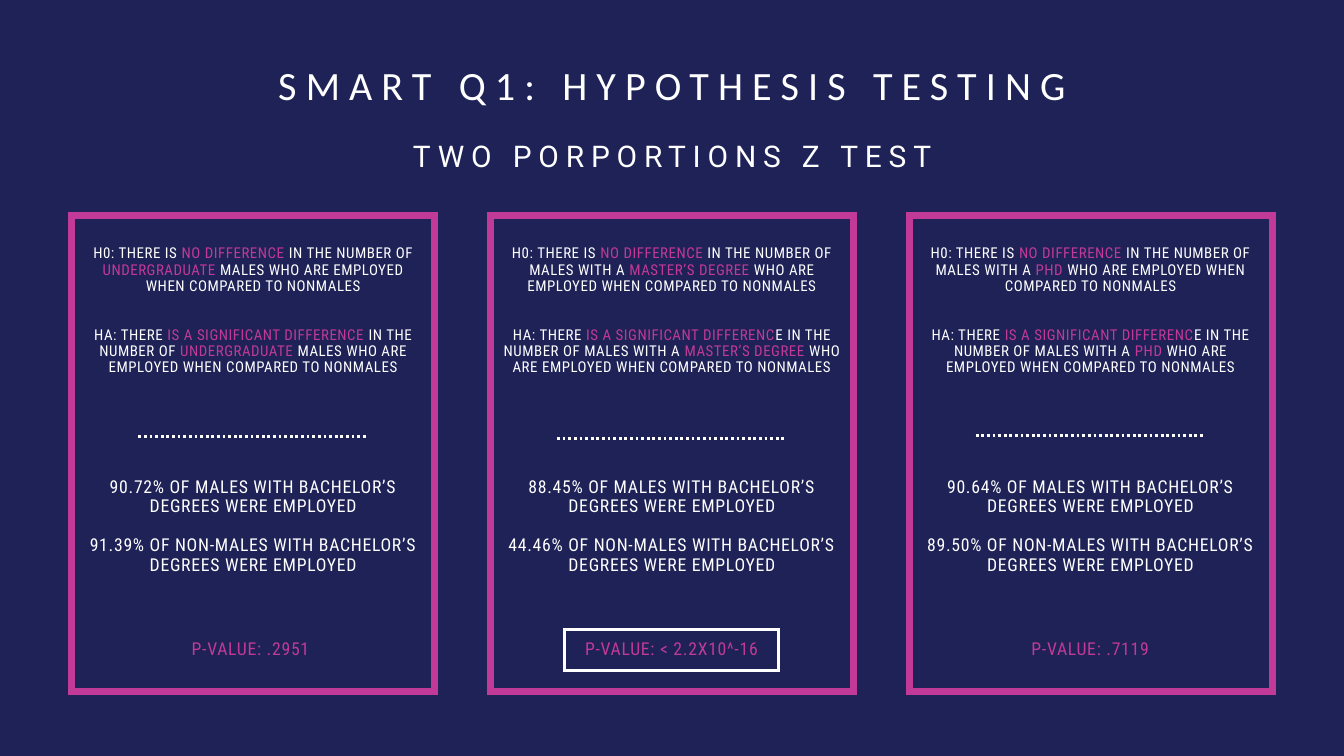
from dataclasses import dataclass

from lxml import etree
from pptx import Presentation
from pptx import util as u
from pptx.dml.color import RGBColor
from pptx.enum import dml, shapes, text
from pptx.oxml.ns import qn


@dataclass(frozen=True)
class Theme:
    back: str = "1E2257"
    ink: str = "FFFFFF"
    pink: str = "C23A97"
    # Each style: font, size, line pitch and letter spacing, in points
    head: tuple = ("Calibri", 43, 50.7, 9.8)
    sub: tuple = ("Roboto", 32, 37.8, 7.3)
    claim: tuple = ("Roboto Condensed", 16, 17.6, 0.6)
    fact: tuple = ("Roboto Condensed", 19, 20.9, 0.8)


COLS, ROWS = 20, 11.25  # slide grid


class Deck:
    def __init__(self, theme):
        self.theme = theme
        self.prs = Presentation()
        self.prs.slide_width = u.Inches(20)
        self.prs.slide_height = u.Inches(11.25)
        self.slide = None

    def grid(self, x, y):
        return (u.Emu(round(x / COLS * self.prs.slide_width)),
                u.Emu(round(y / ROWS * self.prs.slide_height)))

    def start(self):
        self.slide = self.prs.slides.add_slide(self.prs.slide_layouts[5])
        fill = self.slide.background.fill
        fill.solid()
        fill.fore_color.rgb = RGBColor.from_string(self.theme.back)

    def stroke(self, line, color, width):
        line.color.rgb = RGBColor.from_string(color)
        line.width = u.Pt(width)

    def letter(self, shape, style, paras):
        """Fill a shape with text; parts between bars are pink."""
        name, size, pitch, gap = style
        frame = shape.text_frame
        form = dict(margin_left=0, margin_right=0, margin_top=0,
                    margin_bottom=0, word_wrap=True,
                    auto_size=text.MSO_AUTO_SIZE.NONE,
                    vertical_anchor=text.MSO_ANCHOR.TOP)
        for key, val in form.items():
            setattr(frame, key, val)
        for i, words in enumerate(paras):
            para = frame.add_paragraph() if i else frame.paragraphs[0]
            form = dict(alignment=text.PP_ALIGN.CENTER,
                        line_spacing=u.Pt(pitch),
                        space_before=u.Pt(pitch if i else 0))
            for key, val in form.items():
                setattr(para, key, val)
            for j, part in enumerate(words.split("|")):
                if not part:
                    continue
                run = para.add_run()
                run.text = part
                for key, val in dict(name=name, size=u.Pt(size)).items():
                    setattr(run.font, key, val)
                color = self.theme.pink if j % 2 else self.theme.ink
                run.font.color.rgb = RGBColor.from_string(color)
                run._r.get_or_add_rPr().set("spc", str(round(gap * 100)))

    def title(self, x, y, w, h, words):
        shape = self.slide.shapes.title
        shape.left, shape.top = self.grid(x, y)
        shape.width, shape.height = self.grid(w, h)
        self.letter(shape, self.theme.head, [words])

    def label(self, x, y, w, h, style, *paras):
        box = self.slide.shapes.add_textbox(*self.grid(x, y), *self.grid(w, h))
        self.letter(box, style, paras)

    def frame(self, x, y, w, h, color, width):
        box = self.slide.shapes.add_shape(
            shapes.MSO_SHAPE.RECTANGLE, *self.grid(x, y), *self.grid(w, h))
        box.shadow.inherit = False
        box.fill.background()
        self.stroke(box.line, color, width)
        line = box._element.spPr.find(qn("a:ln"))
        etree.SubElement(line, qn("a:miter"), lim="800000")

    def rule(self, x, y, w):
        line = self.slide.shapes.add_connector(
            shapes.MSO_CONNECTOR.STRAIGHT, *self.grid(x, y), *self.grid(x + w, y))
        self.stroke(line.line, self.theme.ink, 3)
        line.line.dash_style = dml.MSO_LINE.ROUND_DOT
        etree.SubElement(line._element.spPr, qn("a:effectLst"))


# One row per card: group, end of the pink claim, shares, p-value, rule row
CARDS = [
    ("|UNDERGRADUATE| MALES WHO", "DIFFERENCE|", "90.72%", "91.39%",
     ".2951 ", 6.5),
    ("MALES WITH A |MASTER’S DEGREE| WHO", "DIFFERENC|E", "88.45%", "44.46%",
     "< 2.2X10^-16", 6.52),
    ("MALES WITH A |PHD| WHO", "DIFFERENC|E", "90.64%", "89.50%",
     ".7119", 6.48),
]
LEFT, STEP, WIDE = 1.07, 6.23, 5.4


def main():
    theme = Theme()
    deck = Deck(theme)
    deck.start()

    # Headings
    deck.title(2.04, 0.91, 15.93, 0.7, "SMART Q1: HYPOTHESIS TESTING")
    deck.label(2.04, 2.06, 15.93, 0.55, theme.sub, "TWO PORPORTIONS Z TEST")

    # Cards
    for i, (group, end, male, other, value, row) in enumerate(CARDS):
        x = LEFT + i * STEP
        tail = f"IN THE NUMBER OF {group} ARE EMPLOYED WHEN COMPARED TO NONMALES"
        done = "OF {} WITH BACHELOR’S DEGREES WERE EMPLOYED"
        deck.frame(x, 3.21, WIDE, 7.08, theme.pink, 7.5)
        deck.rule(x + 0.99, row, 3.42)
        deck.label(x + 0.19, 3.65, 5.02, 1, theme.claim,
                   f"H0: THERE IS |NO DIFFERENCE| {tail}")
        deck.label(x + 0.19, 4.86, 5.02, 1.02, theme.claim,
                   f"HA: THERE| IS A SIGNIFICANT {end} {tail}")
        deck.label(x + 0.19, 7.1, 5.02, 2.03, theme.fact,
                   f"{male} {done.format('MALES')}",
                   f"{other} {done.format('NON-MALES')}")
        deck.label(x + 1.23, 9.52, 2.93, 0.34, theme.fact, f"|P-VALUE: {value}|")

    # Box around the significant result
    deck.frame(LEFT + STEP + 1.1, 9.37, 3.18, 0.61, theme.ink, 3)

    deck.prs.save("out.pptx")


if __name__ == "__main__":
    main()
